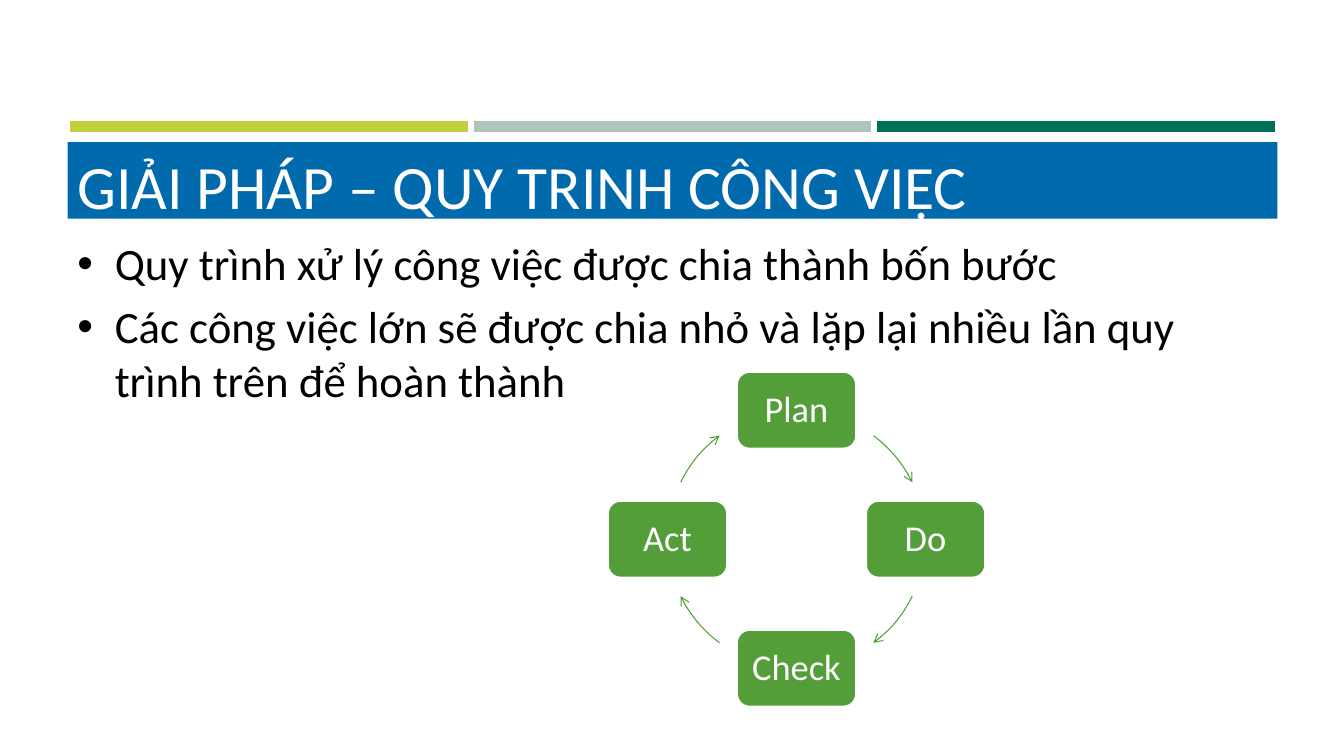
from lxml import etree
from math import cos, radians, sin

from pptx import Presentation
from pptx.dml.color import RGBColor
from pptx.enum.shapes import MSO_SHAPE as Shape
from pptx.enum.text import MSO_ANCHOR as Anchor, PP_ALIGN as Align
from pptx.oxml.ns import qn
from pptx.util import Inches, Pt

WHITE = RGBColor(0xFF, 0xFF, 0xFF)
BLACK = RGBColor(0x00, 0x00, 0x00)
BLUE = RGBColor(0x01, 0x6A, 0xAC)
GREEN = RGBColor(0x54, 0x9E, 0x39)
LIME = RGBColor(0xC0, 0xCF, 0x3A)
SAGE = RGBColor(0xAF, 0xC5, 0xB9)
TEAL = RGBColor(0x01, 0x70, 0x58)
FONT = "Calibri"

# Content
TITLE = "GIẢI PHÁP – QUY TRINH CÔNG VIỆC"
POINTS = [
    "Quy trình xử lý công việc được chia thành bốn bước",
    "Các công việc lớn sẽ được chia nhỏ và lặp lại nhiều lần quy trình trên để hoàn thành",
]
STEPS = ["Plan", "Do", "Check", "Act"]
STRIPES = [LIME, SAGE, TEAL]

# Layout, in inches and degrees
LEFT, WIDTH = 0.67, 12
STRIPE_TOP, STRIPE_HEIGHT = 1.17, 0.17
CENTER_X, CENTER_Y, RADIUS = 7.9, 5.35, 1.28
STEP_WIDTH, STEP_HEIGHT = 1.19, 0.77
# Arc angles clockwise from the top; the other quarters mirror these
ARC_START, ARC_END = 36.6, 63.8


def add_text(paragraph, text, size, color):
    run = paragraph.add_run()
    run.text = text
    run.font.name = FONT
    run.font.size = Pt(size)
    run.font.color.rgb = color


def add_stripes(slide):
    frame = slide.shapes.add_table(
        1, len(STRIPES), Inches(LEFT), Inches(STRIPE_TOP), Inches(WIDTH), Inches(STRIPE_HEIGHT))
    for cell, color in zip(frame.table.rows[0].cells, STRIPES):
        cell.margin_left = cell.margin_right = cell.margin_top = cell.margin_bottom = 0
        # Small type keeps the empty row thin
        etree.SubElement(cell.text_frame.paragraphs[0]._p, qn("a:endParaRPr"), sz="600")
        borders = cell._tc.get_or_add_tcPr()
        for side in ("a:lnL", "a:lnR", "a:lnT", "a:lnB"):
            border = etree.SubElement(borders, qn(side), w=str(Pt(4.5)))
            fill = etree.SubElement(border, qn("a:solidFill"))
            etree.SubElement(fill, qn("a:srgbClr"), val=str(WHITE))
        cell.fill.solid()
        cell.fill.fore_color.rgb = color


def add_title(slide):
    banner = slide.shapes.add_shape(
        Shape.RECTANGLE, Inches(LEFT), Inches(1.41), Inches(WIDTH), Inches(0.76))
    banner.shadow.inherit = False
    banner.fill.solid()
    banner.fill.fore_color.rgb = BLUE
    banner.line.fill.background()
    banner.text_frame.vertical_anchor = Anchor.TOP
    banner.text_frame.margin_top = Inches(0.06)
    heading = banner.text_frame.paragraphs[0]
    heading.alignment = Align.LEFT
    add_text(heading, TITLE, 44, WHITE)


def add_points(slide):
    body = slide.shapes.add_textbox(
        Inches(LEFT), Inches(2.29), Inches(WIDTH), Inches(4.41)).text_frame
    body.word_wrap = True
    for index, text in enumerate(POINTS):
        point = body.add_paragraph() if index else body.paragraphs[0]
        add_text(point, text, 32, BLACK)
        props = point._p.get_or_add_pPr()
        props.set("marL", str(Inches(0.37)))
        props.set("indent", str(-Inches(0.37)))
        space = etree.SubElement(props, qn("a:spcBef"))
        etree.SubElement(space, qn("a:spcPct"), val="20000")
        etree.SubElement(props, qn("a:buFont"), typeface="Arial")
        etree.SubElement(props, qn("a:buChar"), char="•")


def add_step(slide, name, degrees):
    x = CENTER_X + RADIUS * sin(radians(degrees))
    y = CENTER_Y - RADIUS * cos(radians(degrees))
    step = slide.shapes.add_shape(
        Shape.ROUNDED_RECTANGLE, Inches(x - STEP_WIDTH / 2), Inches(y - STEP_HEIGHT / 2),
        Inches(STEP_WIDTH), Inches(STEP_HEIGHT))
    step.shadow.inherit = False
    step.fill.solid()
    step.fill.fore_color.rgb = GREEN
    step.line.color.rgb = WHITE
    step.line.width = Pt(2)
    frame = step.text_frame
    frame.word_wrap = False
    frame.vertical_anchor = Anchor.MIDDLE
    label = frame.paragraphs[0]
    label.alignment = Align.CENTER
    label.line_spacing = 0.9
    add_text(label, name, 26, WHITE)


def add_arc(slide, start, end):
    arc = slide.shapes.add_shape(
        Shape.ARC, Inches(CENTER_X - RADIUS), Inches(CENTER_Y - RADIUS),
        Inches(2 * RADIUS), Inches(2 * RADIUS))
    # The preset counts from the right, in units of 0.6 per degree
    for side, degrees in enumerate((start, end)):
        arc.adjustments[side] = (degrees - 90) % 360 * 0.6
    arc.shadow.inherit = False
    arc.fill.background()
    arc.line.color.rgb = GREEN
    arc.line.width = Pt(0.75)
    etree.SubElement(arc.line._get_or_add_ln(), qn("a:tailEnd"), type="arrow")


def main():
    deck = Presentation()
    deck.slide_width, deck.slide_height = Inches(13.33), Inches(7.5)
    slide = deck.slides.add_slide(deck.slide_layouts[6])
    add_stripes(slide)
    add_title(slide)
    add_points(slide)
    # Cycle of steps, each followed by its arrow
    turn = 360 / len(STEPS)
    for index, name in enumerate(STEPS):
        angle = index * turn
        add_step(slide, name, angle)
        if index % 2:
            add_arc(slide, angle + turn - ARC_END, angle + turn - ARC_START)
        else:
            add_arc(slide, angle + ARC_START, angle + ARC_END)
    deck.save("out.pptx")


if __name__ == "__main__":
    main()
